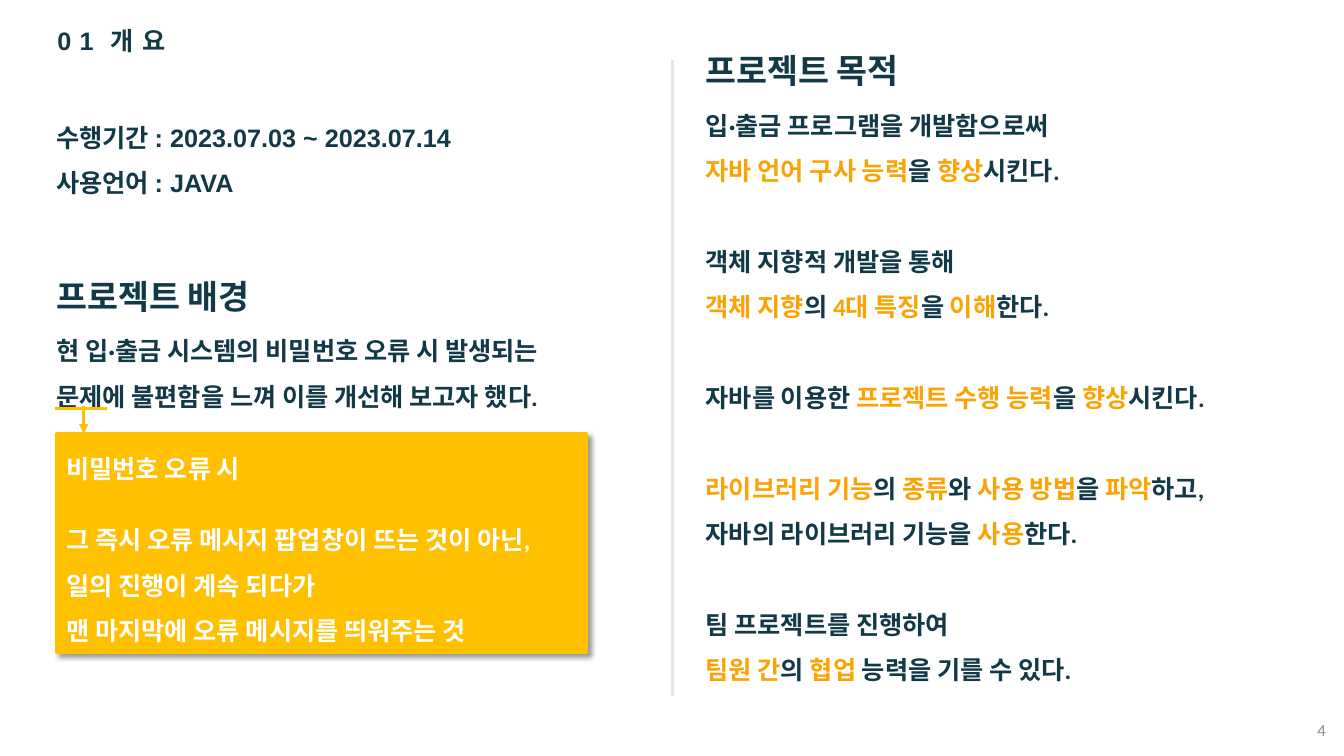
from lxml.etree import SubElement
from pptx import Presentation
from pptx.dml.color import RGBColor
from pptx.enum.shapes import MSO_CONNECTOR, MSO_SHAPE
from pptx.enum.text import MSO_ANCHOR, MSO_AUTO_SIZE, PP_ALIGN
from pptx.oxml.ns import qn
from pptx.util import Inches, Pt

NAVY = RGBColor(0x11, 0x39, 0x47)
ORANGE = RGBColor(0xFB, 0xA3, 0x05)
AMBER = RGBColor(0xFF, 0xC0, 0x00)
WHITE = RGBColor(0xFF, 0xFF, 0xFF)
LIGHT_GRAY = RGBColor(0xE6, 0xE6, 0xE6)
GRAY = RGBColor(0x8C, 0x8C, 0x8C)

PERIOD = [["수행기간 : 2023.07.03 ~ 2023.07.14", "사용언어 : JAVA"]]
BACKGROUND = [[
    "현 입·출금 시스템의 비밀번호 오류 시 발생되는",
    "문제에 불편함을 느껴 이를 개선해 보고자 했다.",
]]
PROBLEM = [
    ["비밀번호 오류 시"],
    [
        "그 즉시 오류 메시지 팝업창이 뜨는 것이 아닌,",
        "일의 진행이 계속 되다가",
        "맨 마지막에 오류 메시지를 띄워주는 것",
    ],
]
GOALS = [
    ["입·출금 프로그램을 개발함으로써", "*자바 언어 구사 능력*을 *향상*시킨다."],
    ["객체 지향적 개발을 통해", "*객체 지향*의 *4대 특징*을 *이해*한다."],
    ["자바를 이용한 *프로젝트 수행 능력*을 *향상*시킨다."],
    [
        "*라이브러리 기능*의 *종류*와 *사용 방법*을 *파악*하고,",
        "자바의 라이브러리 기능을 *사용*한다.",
    ],
    ["팀 프로젝트를 진행하여", "*팀원 간*의 *협업 *능력을 기를 수 있다."],
]


def add_run(paragraph, text, size=18, color=NAVY, font="Calibri", bold=True):
    run = paragraph.add_run()
    run.text = text
    run.font.size = Pt(size)
    run.font.name = font
    run.font.bold = bold
    run.font.color.rgb = color
    return run


def write_groups(frame, groups, gap=0, color=NAVY, **style):
    paragraph = None
    for group in groups:
        for position, line in enumerate(group):
            first = paragraph is None
            paragraph = frame.paragraphs[0] if first else frame.add_paragraph()
            paragraph.line_spacing = 1.5
            if position == 0 and not first:
                paragraph.space_before = Pt(gap)
            for index, text in enumerate(line.split("*")):
                if text:
                    add_run(paragraph, text, color=ORANGE if index % 2 else color, **style)


def add_text_frame(slide, left, top, width, height, wrap=True):
    box = slide.shapes.add_textbox(Inches(left), Inches(top), Inches(width), Inches(height))
    frame = box.text_frame
    frame.word_wrap = wrap
    frame.auto_size = MSO_AUTO_SIZE.SHAPE_TO_FIT_TEXT
    return frame


def add_heading(slide, left, top, text):
    frame = add_text_frame(slide, left, top, 2.3, 0.64, wrap=False)
    write_groups(frame, [[text]], size=24)


def add_line(slide, start, end, color, width, arrow=False):
    connector = slide.shapes.add_connector(
        MSO_CONNECTOR.STRAIGHT, *(Inches(value) for value in (*start, *end)))
    connector.line.color.rgb = color
    connector.line.width = Pt(width)
    if arrow:
        SubElement(connector.line._get_or_add_ln(), qn("a:tailEnd"), type="triangle")
    SubElement(connector._element.spPr, qn("a:effectLst"))


def add_shadow(shape):
    shape.shadow.inherit = False
    effects = shape._element.spPr.find(qn("a:effectLst"))
    shadow = SubElement(
        effects, qn("a:outerShdw"), blurRad=str(Pt(4)), dist=str(Pt(3)),
        dir="2700000", algn="tl", rotWithShape="0")
    color = SubElement(shadow, qn("a:srgbClr"), val="000000")
    SubElement(color, qn("a:alpha"), val="40000")


def add_problem_box(slide):
    shape = slide.shapes.add_shape(
        MSO_SHAPE.RECTANGLE, Inches(0.56), Inches(4.3), Inches(5.26), Inches(2.17))
    shape.fill.solid()
    shape.fill.fore_color.rgb = AMBER
    shape.line.color.rgb = AMBER
    shape.line.width = Pt(2.25)
    add_shadow(shape)
    frame = shape.text_frame
    frame.word_wrap = True
    frame.auto_size = MSO_AUTO_SIZE.SHAPE_TO_FIT_TEXT
    frame.vertical_anchor = MSO_ANCHOR.TOP
    write_groups(frame, PROBLEM, gap=18.3, color=WHITE)
    for paragraph in frame.paragraphs:
        paragraph.alignment = PP_ALIGN.LEFT


def add_section_label(slide):
    paragraph = add_text_frame(slide, 0.47, 0.2, 1.97, 0.4).paragraphs[0]
    for text, size, font in (("01", 18, "Arial"), (" ", 1, "Calibri"), ("개요", 18, "Calibri")):
        run = add_run(paragraph, text, size, font=font)
        run.font._element.set("spc", "600")


def add_page_number(slide, number):
    frame = add_text_frame(slide, 10.25, 7.04, 3, 0.4)
    frame.auto_size = MSO_AUTO_SIZE.NONE
    frame.vertical_anchor = MSO_ANCHOR.MIDDLE
    paragraph = frame.paragraphs[0]
    paragraph.alignment = PP_ALIGN.RIGHT
    add_run(paragraph, number, 12, GRAY, bold=False)


def main():
    presentation = Presentation()
    presentation.slide_width = Inches(13.33)
    presentation.slide_height = Inches(7.5)
    slide = presentation.slides.add_slide(presentation.slide_layouts[6])

    write_groups(add_text_frame(slide, 0.46, 1.01, 4.53, 0.95), PERIOD, font="Arial")
    write_groups(add_text_frame(slide, 0.46, 3.13, 5.75, 1.01), BACKGROUND)
    add_heading(slide, 0.46, 2.49, "프로젝트 배경")
    add_line(slide, (0.83, 4.03), (0.83, 4.3), AMBER, 2.25, arrow=True)
    add_problem_box(slide)
    add_line(slide, (0.55, 4.05), (1.06, 4.05), AMBER, 2.25)
    write_groups(add_text_frame(slide, 6.9, 0.89, 5.75, 6.01), GOALS, gap=32.5)
    add_heading(slide, 6.9, 0.25, "프로젝트 목적")
    add_line(slide, (6.67, 0.6), (6.67, 6.9), LIGHT_GRAY, 1.5)
    add_page_number(slide, "4")
    add_section_label(slide)

    presentation.save("out.pptx")


if __name__ == "__main__":
    main()
